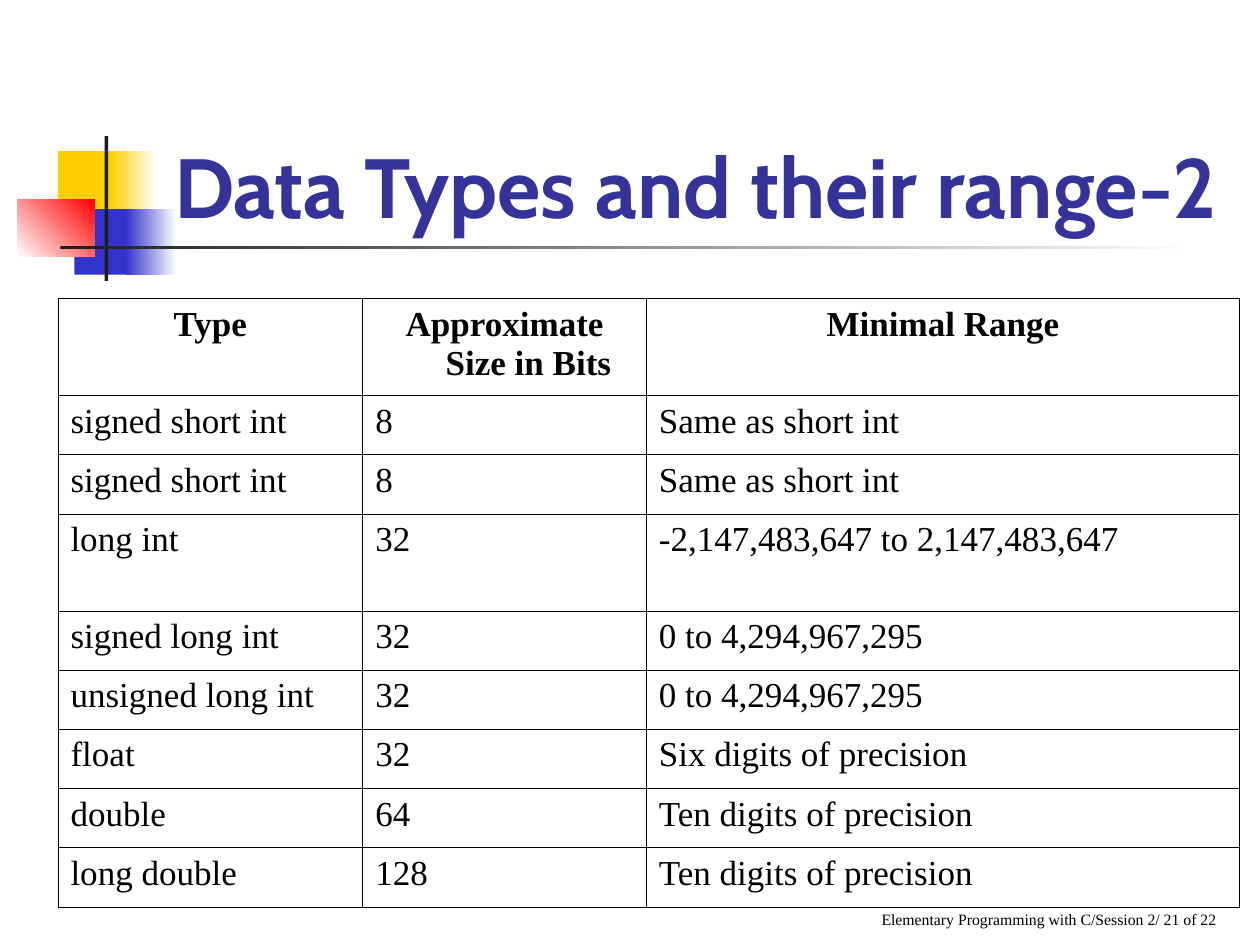
from lxml.etree import SubElement
from pptx import Presentation
from pptx.dml.color import RGBColor
from pptx.enum.shapes import MSO_SHAPE
from pptx.enum.text import MSO_ANCHOR, PP_ALIGN
from pptx.oxml.ns import qn
from pptx.util import Inches, Pt


def color(code):
    return RGBColor.from_string(code)


class Deck:
    serif = "Times New Roman"
    black = "000000"
    hang = Inches(0.38)
    edge = Pt(0.45)

    def __init__(self):
        self.prs = Presentation()
        self.prs.slide_width, self.prs.slide_height = Inches(10), Inches(7.5)
        self.slide = self.prs.slides.add_slide(self.prs.slide_layouts[6])

    def style(self, para, size, face, ink, bold, align):
        para.alignment = align
        font = para.font
        font.size, font.name, font.bold = Pt(size), face, bold
        font.color.rgb = color(ink)

    def block(self, box, first, last=None, angle=0):
        """Plain rectangle, or a gradient when a last colour is given."""
        shape = self.slide.shapes.add_shape(MSO_SHAPE.RECTANGLE, *map(Inches, box))
        shape.shadow.inherit = False
        shape.line.fill.background()
        fill = shape.fill
        if last is None:
            fill.solid()
            fill.fore_color.rgb = color(first)
            return
        fill.gradient()
        fill.gradient_angle = angle
        for stop, code in zip(fill.gradient_stops, (first, last)):
            stop.color.rgb = color(code)

    def text(self, box, words, size, face, ink, bold, align):
        frame = self.slide.shapes.add_textbox(*map(Inches, box)).text_frame
        frame.word_wrap = True
        frame.vertical_anchor = MSO_ANCHOR.BOTTOM
        para = frame.paragraphs[0]
        para.text = words
        self.style(para, size, face, ink, bold, align)

    def border(self, cell):
        props = cell._tc.get_or_add_tcPr()
        for side in ("lnL", "lnR", "lnT", "lnB"):
            line = SubElement(props, qn("a:" + side), w=str(self.edge))
            fill = SubElement(line, qn("a:solidFill"))
            SubElement(fill, qn("a:srgbClr"), val=self.black)

    def cell(self, cell, words, head):
        self.border(cell)
        cell.fill.background()
        para = cell.text_frame.paragraphs[0]
        para.text = words
        props = para._p.get_or_add_pPr()
        props.set("marL", str(self.hang))
        props.set("indent", str(-self.hang))
        align = PP_ALIGN.CENTER if head else PP_ALIGN.JUSTIFY
        self.style(para, 20, self.serif, self.black, head, align)

    def table(self, left, top, widths, heights, rows):
        box = (left, top, sum(widths), sum(heights))
        table = self.slide.shapes.add_table(
            len(rows), len(widths), *map(Inches, box)).table
        table.first_row = table.horz_banding = False
        for col, width in zip(table.columns, widths):
            col.width = Inches(width)
        for row, height in zip(table.rows, heights):
            row.height = Inches(height)
        for r, row in enumerate(rows):
            for c, words in enumerate(row):
                self.cell(table.cell(r, c), words, r == 0)


def main():
    deck = Deck()
    gold, blue, dark, white = "FFCF01", "3333CC", "1C1C1C", "FFFFFF"

    # Corner ornament and title rule
    deck.block((0.46, 1.2, 0.48, 0.52), gold)
    deck.block((0.88, 1.2, 0.36, 0.52), gold, white)
    deck.block((0.59, 1.66, 0.46, 0.52), blue)
    deck.block((1, 1.66, 0.4, 0.52), blue, white)
    deck.block((0.14, 1.58, 0.61, 0.46), white, "FF0000", 45)
    deck.block((0.83, 1.08, 0.03, 1.15), dark)
    deck.block((0.48, 1.95, 9, 0.03), dark, white)

    # Footer and title
    deck.text((3.67, 6.92, 6.08, 0.5),
              "Elementary Programming with C/Session 2/ 21 of 22",
              9, deck.serif, deck.black, False, PP_ALIGN.RIGHT)
    deck.text((1.26, 0.67, 8.52, 1.25), "Data Types and their range-2",
              48, "Cabin", "333399", True, PP_ALIGN.CENTER)

    # Data types
    rows = [
        ("Type", "Approximate Size in Bits", "Minimal Range"),
        ("signed short int", "8", "Same as short int"),
        ("signed short int", "8", "Same as short int"),
        ("long int", "32", "-2,147,483,647 to 2,147,483,647"),
        ("signed long int", "32", "0 to 4,294,967,295"),
        ("unsigned long int", "32", "0 to 4,294,967,295"),
        ("float", "32", "Six digits of precision"),
        ("double", "64", "Ten digits of precision"),
        ("long double", "128", "Ten digits of precision"),
    ]
    tall = (0, 3)
    heights = [0.77 if r in tall else 0.47 for r in range(len(rows))]
    deck.table(0.46, 2.37, (2.42, 2.25, 4.71), heights, rows)

    deck.prs.save("out.pptx")


if __name__ == "__main__":
    main()
